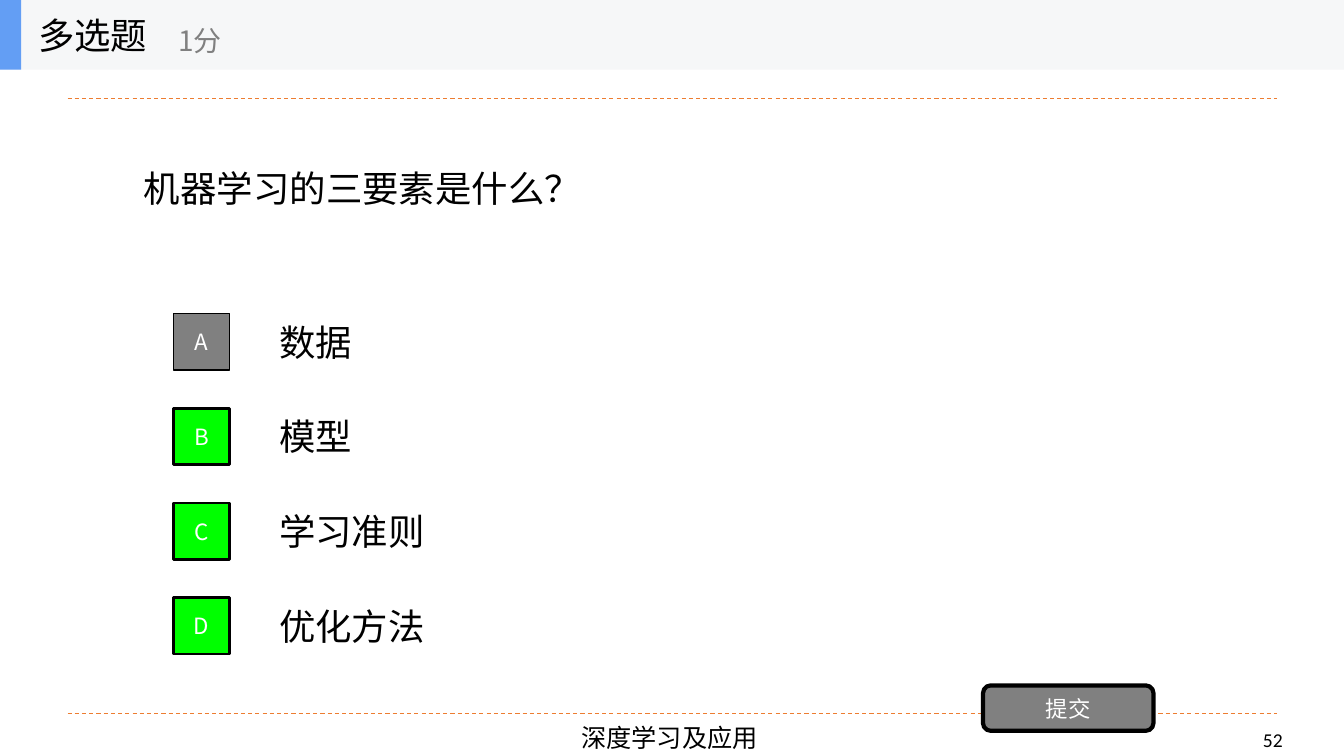
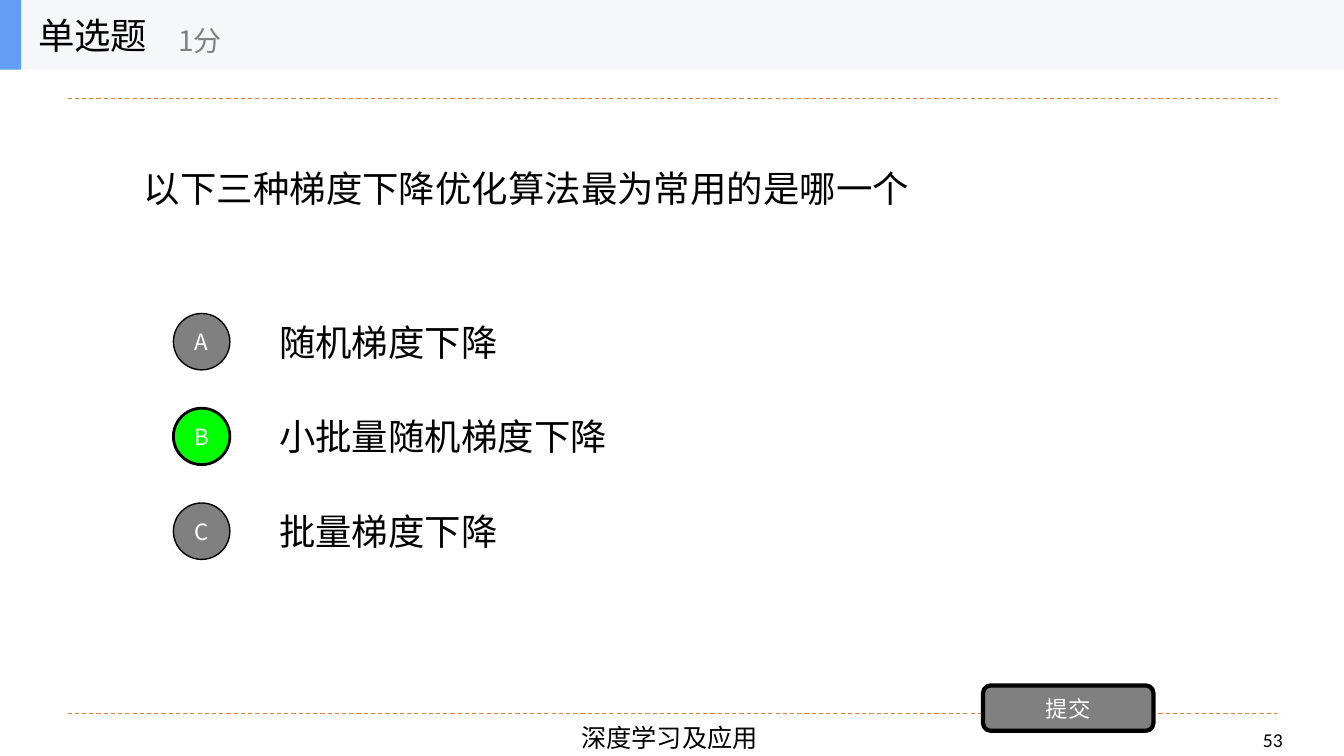
from dataclasses import dataclass

from lxml import etree
from pptx import Presentation
from pptx.dml.color import RGBColor
from pptx.enum.dml import MSO_LINE
from pptx.enum.shapes import MSO_CONNECTOR, MSO_SHAPE
from pptx.enum.text import MSO_ANCHOR, PP_ALIGN
from pptx.oxml.ns import qn
from pptx.util import Inches, Pt

RECTANGLE, ELLIPSE, ROUNDED = MSO_SHAPE.RECTANGLE, MSO_SHAPE.OVAL, MSO_SHAPE.ROUNDED_RECTANGLE
LEFT, CENTER = PP_ALIGN.LEFT, PP_ALIGN.CENTER
TOP, MIDDLE = MSO_ANCHOR.TOP, MSO_ANCHOR.MIDDLE
STRAIGHT, DASH = MSO_CONNECTOR.STRAIGHT, MSO_LINE.DASH


@dataclass(frozen=True)
class Theme:
    ink: str = "000000"
    white: str = "FFFFFF"
    gray: str = "808080"
    correct: str = "00FF00"
    band: str = "F6F7F8"
    accent: str = "639EF4"
    rule: str = "ED7D31"
    font: str = "Noto Sans CJK SC"
    number_font: str = "Calibri"
    body_size: int = 26
    score_size: int = 20
    footer_size: int = 18
    label_size: int = 16
    number_size: int = 14


theme = Theme()


def write(box, text, size, color=theme.ink, align=LEFT, anchor=MIDDLE, font=theme.font):
    frame = box.text_frame
    frame.word_wrap = True
    frame.vertical_anchor = anchor
    para = frame.paragraphs[0]
    para.text = text
    para.alignment = align
    para.font.size = Pt(size)
    para.font.color.rgb = RGBColor.from_string(color)
    para.font.name = font
    properties = para._p.pPr.find(qn("a:defRPr"))
    etree.SubElement(properties, qn("a:ea")).set("typeface", font)


def draw(shapes, kind, area, fill, line_width=0):
    shape = shapes.add_shape(kind, *map(Inches, area))
    shape.shadow.inherit = False
    shape.fill.solid()
    shape.fill.fore_color.rgb = RGBColor.from_string(fill)
    if line_width:
        shape.line.color.rgb = RGBColor.from_string(theme.ink)
        shape.line.width = Pt(line_width)
    else:
        shape.line.fill.background()
    return shape


questions = [
    ("多选题", "机器学习的三要素是什么？", RECTANGLE, "BCD",
     ["数据", "模型", "学习准则", "优化方法"]),
    ("单选题", "以下三种梯度下降优化算法最为常用的是哪一个", ELLIPSE, "B",
     ["随机梯度下降", "小批量随机梯度下降", "批量梯度下降"]),
]
FIRST_NUMBER = 52
OPTION_TOP, OPTION_STEP, OPTION_HEIGHT = 3.04, 0.94, 0.7
MARKER_SIZE = 0.56
BAND_HEIGHT = 0.69

deck = Presentation()
deck.slide_width, deck.slide_height = Inches(13.33), Inches(7.5)

for number, (title, question, marker_kind, answers, options) in enumerate(questions, FIRST_NUMBER):
    page = deck.slides.add_slide(deck.slide_layouts[6])
    shapes = page.shapes

    footer = shapes.add_textbox(Inches(2.61), Inches(7.12), Inches(8.06), Inches(0.4))
    write(footer, "深度学习及应用", theme.footer_size, align=CENTER, anchor=TOP)
    page_number = shapes.add_textbox(Inches(11.92), Inches(7.17), Inches(1.41), Inches(0.34))
    write(page_number, str(number), theme.number_size, align=CENTER, anchor=TOP,
          font=theme.number_font)
    for height in (7.08, 0.98):
        rule = shapes.add_connector(STRAIGHT, Inches(0.67), Inches(height),
                                    Inches(12.67), Inches(height))
        rule.line.color.rgb = RGBColor.from_string(theme.rule)
        rule.line.width = Pt(0.75)
        rule.line.dash_style = DASH
        etree.SubElement(rule._element.spPr, qn("a:effectLst"))

    question_box = shapes.add_textbox(Inches(1.33), Inches(0.69), Inches(10.67), Inches(2.34))
    write(question_box, question, theme.body_size)

    for row, (letter, option) in enumerate(zip("ABCD", options)):
        top = OPTION_TOP + row * OPTION_STEP
        option_box = shapes.add_textbox(Inches(2.67), Inches(top),
                                        Inches(9.33), Inches(OPTION_HEIGHT))
        write(option_box, option, theme.body_size)
        marker_top = top + (OPTION_HEIGHT - MARKER_SIZE) / 2
        fill, line_width = (theme.correct, 2) if letter in answers else (theme.gray, 1)
        marker = draw(shapes, marker_kind, (1.72, marker_top, MARKER_SIZE, MARKER_SIZE),
                      fill, line_width)
        write(marker, letter, theme.label_size, theme.white, CENTER)

    button = draw(shapes, ROUNDED, (9.75, 6.8, 1.69, 0.45), theme.gray, 3)
    write(button, "提交", theme.label_size, theme.white, CENTER)

    header = shapes.add_group_shape().shapes
    draw(header, RECTANGLE, (0, 0, 13.33, BAND_HEIGHT), theme.band)
    draw(header, RECTANGLE, (0, 0, 0.21, BAND_HEIGHT), theme.accent)
    title_box = header.add_textbox(Inches(0.28), 0, Inches(2.08), Inches(BAND_HEIGHT))
    write(title_box, title, theme.body_size)
    score_box = header.add_textbox(Inches(1.67), Inches(0.12), Inches(2.5), Inches(0.56))
    write(score_box, "1分", theme.score_size, theme.gray)

deck.save("out.pptx")
